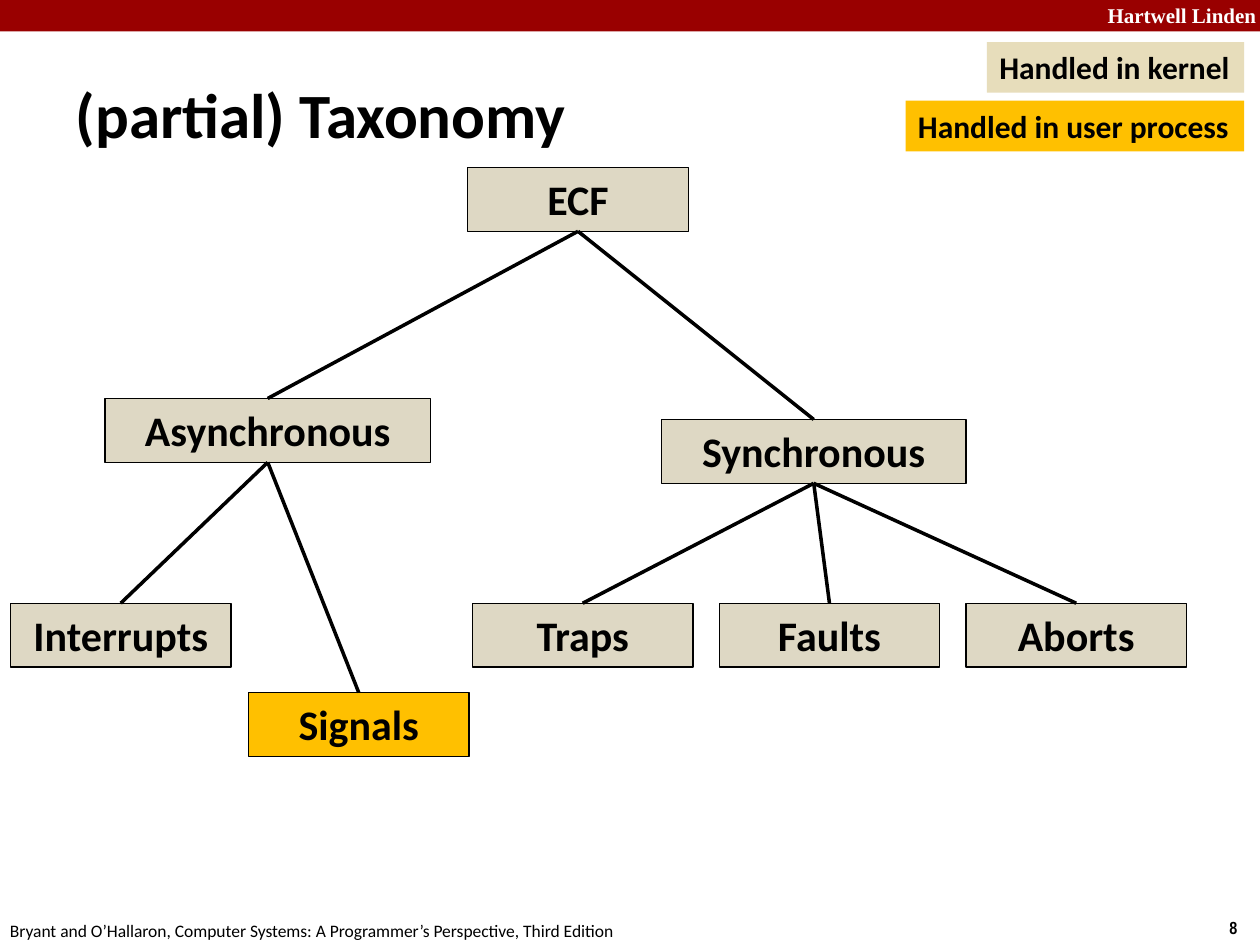
from pptx import Presentation
from pptx.dml.color import RGBColor
from pptx.enum.shapes import MSO_CONNECTOR, MSO_SHAPE
from pptx.enum.text import MSO_ANCHOR, PP_ALIGN
from pptx.oxml.ns import qn
from pptx.util import Pt
from lxml.etree import SubElement

COLORS = {
    "banner": "990000",
    "node": "DED8C4",
    "kernel": "E7DDBB",
    "user": "FFC000",
    "ink": "000000",
    "white": "FFFFFF",
}
NODE_HEIGHT = 36.5
LEAF_WIDTH = 126
LEAF_STEP = 141
LEAF_TOP = 249


def color(name):
    return RGBColor.from_string(COLORS[name])


def write(shape, text, size, font="Calibri", bold=True, ink="ink",
          align=PP_ALIGN.LEFT, anchor=MSO_ANCHOR.TOP, wrap=True):
    frame = shape.text_frame
    frame.word_wrap = wrap
    frame.vertical_anchor = anchor
    paragraph = frame.paragraphs[0]
    paragraph.text = text
    paragraph.alignment = align
    paragraph.font.name = font
    paragraph.font.size = Pt(size)
    paragraph.font.bold = bold
    paragraph.font.color.rgb = color(ink)


def add_label(slide, box, text, size, **style):
    label = slide.shapes.add_textbox(*map(Pt, box))
    write(label, text, size, **style)
    return label


def add_rectangle(slide, box, fill, outlined=False):
    rectangle = slide.shapes.add_shape(MSO_SHAPE.RECTANGLE, *map(Pt, box))
    rectangle.shadow.inherit = False
    rectangle.fill.solid()
    rectangle.fill.fore_color.rgb = color(fill)
    if outlined:
        rectangle.line.color.rgb = color("ink")
        rectangle.line.width = Pt(0.75)
    else:
        rectangle.line.fill.background()
    return rectangle


def add_branch(slide, parent, child):
    branch = slide.shapes.add_connector(MSO_CONNECTOR.STRAIGHT, 0, 0, 0, 0)
    branch.begin_connect(parent, 2)
    branch.end_connect(child, 0)
    branch.line.color.rgb = color("ink")
    branch.line.width = Pt(2)
    SubElement(branch._element.spPr, qn("a:effectLst"))


def add_banner(slide, left, top, width, height):
    add_rectangle(slide, (left, top, width, height), "banner")
    add_label(slide, (left + width - 98, top - 2, 103, 21.6), "Hartwell Linden", 12,
              font="Times New Roman", ink="white", align=PP_ALIGN.RIGHT)


def add_title(slide, left, top, width, height):
    title = add_label(slide, (left, top, width, height), "(partial) Taxonomy", 36,
                      anchor=MSO_ANCHOR.MIDDLE)
    title.text_frame.margin_left = Pt(15.3)


def add_legend(slide, left, top, width, row_step):
    entries = [("Handled in kernel", "kernel", 147), ("Handled in user process", "user", 193.5)]
    for row, (text, fill, entry_width) in enumerate(entries):
        box = (left + width - entry_width, top + row * row_step, entry_width, 29)
        write(add_rectangle(slide, box, fill), text, 18, wrap=False)


def add_tree(slide, left, top):
    nodes = [
        ("ECF", None, 261.3, 0, LEAF_WIDTH, "node"),
        ("Asynchronous", "ECF", 54, 132, 186, "node"),
        ("Synchronous", "ECF", 372, 144, 174, "node"),
        ("Interrupts", "Asynchronous", 0, LEAF_TOP, LEAF_WIDTH, "node"),
        ("Signals", "Asynchronous", 136, 300, LEAF_WIDTH, "user"),
    ]
    nodes += [
        (text, "Synchronous", 264 + column * LEAF_STEP, LEAF_TOP, LEAF_WIDTH, "node")
        for column, text in enumerate(["Traps", "Faults", "Aborts"])
    ]
    shapes = {}
    for text, parent, x, y, width, fill in nodes:
        node = add_rectangle(slide, (left + x, top + y, width, NODE_HEIGHT), fill, outlined=True)
        write(node, text, 24, align=PP_ALIGN.CENTER)
        shapes[text] = node
        if parent:
            add_branch(slide, shapes[parent], node)


def add_footer(slide, left, top, width, height):
    add_label(slide, (left, top, 366, height),
              "Bryant and O’Hallaron, Computer Systems: A Programmer’s Perspective, Third Edition",
              10, bold=False, wrap=False)
    add_label(slide, (left + width - 24.5, top - 1.4, 24.5, height), "8", 10,
              font="Arial Narrow", wrap=False)


def main():
    presentation = Presentation()
    presentation.slide_width = Pt(720)
    presentation.slide_height = Pt(540)
    slide = presentation.slides.add_slide(presentation.slide_layouts[6])
    add_banner(slide, 0, 0, 720, 18)
    add_title(slide, 28, 34.5, 598, 60)
    add_tree(slide, 6, 95.7)
    add_legend(slide, 517.5, 24, 193.5, 33.5)
    add_footer(slide, -1.4, 522, 721.4, 19.4)
    presentation.save("out.pptx")


if __name__ == "__main__":
    main()
